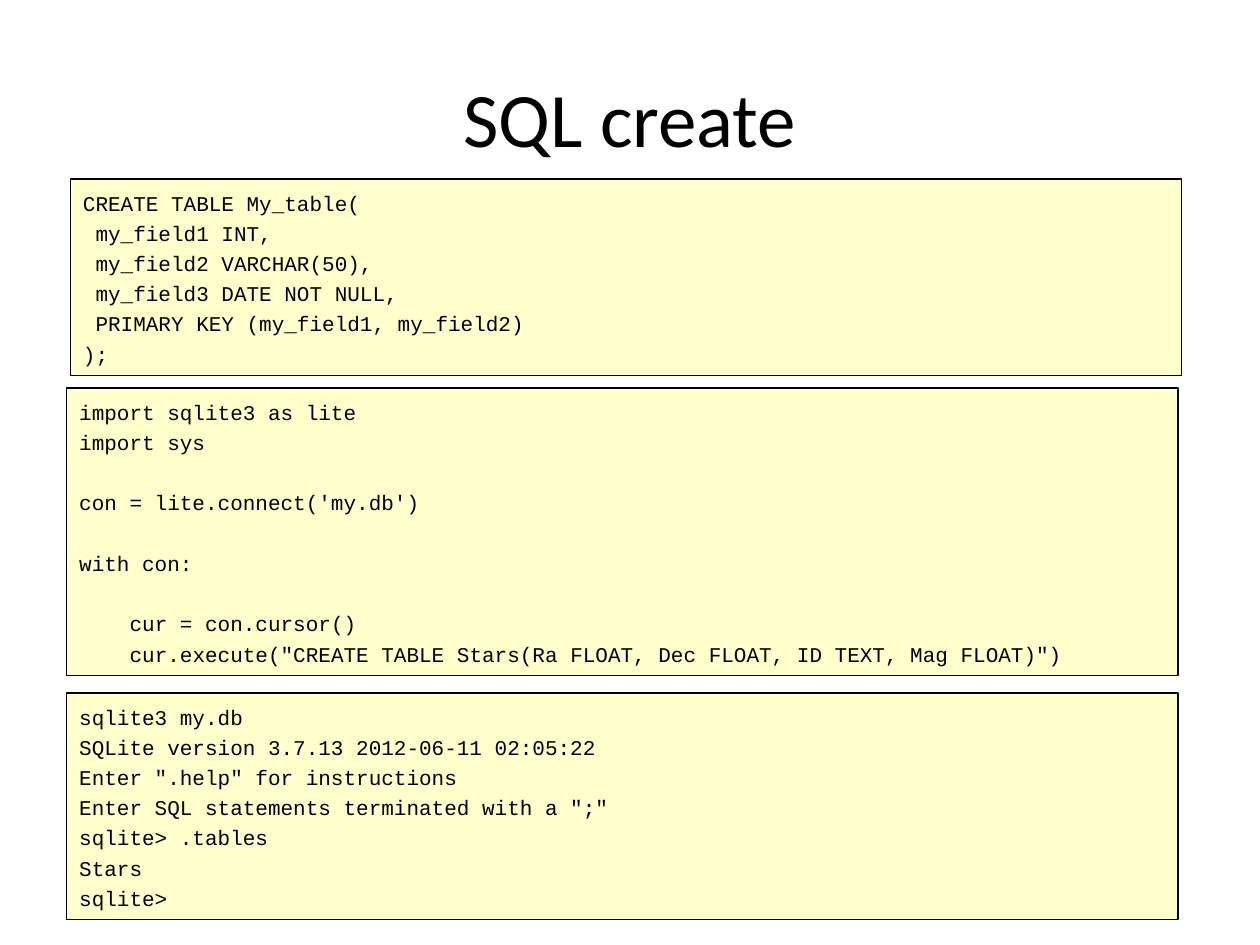
from pptx import Presentation
from pptx import util as u
from pptx.dml.color import RGBColor
from pptx.enum import shapes, text

# Content: top and left edge (inches), then the code
TITLE = "SQL create"
BLOCKS = [
    (1.42, 0.56, """CREATE TABLE My_table(
 my_field1 INT,
 my_field2 VARCHAR(50),
 my_field3 DATE NOT NULL,
 PRIMARY KEY (my_field1, my_field2)
);"""),
    (3.08, 0.53, """import sqlite3 as lite
import sys

con = lite.connect('my.db')

with con:

    cur = con.cursor()
    cur.execute("CREATE TABLE Stars(Ra FLOAT, Dec FLOAT, ID TEXT, Mag FLOAT)")"""),
    (5.5, 0.53, """sqlite3 my.db
SQLite version 3.7.13 2012-06-11 02:05:22
Enter ".help" for instructions
Enter SQL statements terminated with a ";"
sqlite> .tables
Stars
sqlite>"""),
]
COLORS = {"ink": "000000", "paper": "FFFFCC"}
WIDTH, PAD = 8.82, 0.05
SIZE = 12
PITCH = 17.28        # points from line to line
CHAR = 0.6 * SIZE    # width of one monospaced letter


def color(name):
    return RGBColor.from_string(COLORS[name])


def style(run, face, size):
    run.font.name = face
    run.font.size = u.Pt(size)
    run.font.color.rgb = color("ink")


def add_code(slide, top, left, code):
    lines = code.split("\n")
    high = len(lines) * PITCH / 72 + 2 * PAD + 0.02
    box = slide.shapes.add_shape(
        shapes.MSO_SHAPE.RECTANGLE,
        u.Inches(left), u.Inches(top), u.Inches(WIDTH), u.Inches(high))
    box.shadow.inherit = False
    box.fill.solid()
    box.fill.fore_color.rgb = color("paper")
    box.line.color.rgb = color("ink")
    box.line.width = u.Pt(0.75)

    frame = box.text_frame
    frame.word_wrap = True
    frame.vertical_anchor = text.MSO_ANCHOR.TOP
    gap = 0
    for i, line in enumerate(lines):
        words = line.lstrip()
        if not words:      # an empty code line becomes space before the next
            gap += PITCH
            continue
        para = frame.add_paragraph() if i else frame.paragraphs[0]
        para.alignment = text.PP_ALIGN.LEFT
        para.line_spacing = 1.2
        para.space_before = u.Pt(gap)
        gap = 0
        # Leading spaces become a paragraph indent
        props = para._p.get_or_add_pPr()
        props.set("marL", str(u.Pt(CHAR * (len(line) - len(words)))))
        run = para.add_run()
        run.text = words
        style(run, "Courier New", SIZE)


def main():
    deck = Presentation()
    deck.slide_width, deck.slide_height = u.Inches(10), u.Inches(7.5)
    slide = deck.slides.add_slide(deck.slide_layouts[5])

    # Title
    head = slide.shapes.title
    head.left, head.top = u.Inches(0.5), u.Inches(0.3)
    head.width, head.height = u.Inches(9), u.Inches(1.25)
    head.text_frame.vertical_anchor = text.MSO_ANCHOR.MIDDLE
    para = head.text_frame.paragraphs[0]
    para.alignment = text.PP_ALIGN.CENTER
    run = para.add_run()
    run.text = TITLE
    style(run, "Calibri", 44)

    # Code boxes
    for block in BLOCKS:
        add_code(slide, *block)

    deck.save("out.pptx")


if __name__ == "__main__":
    main()
